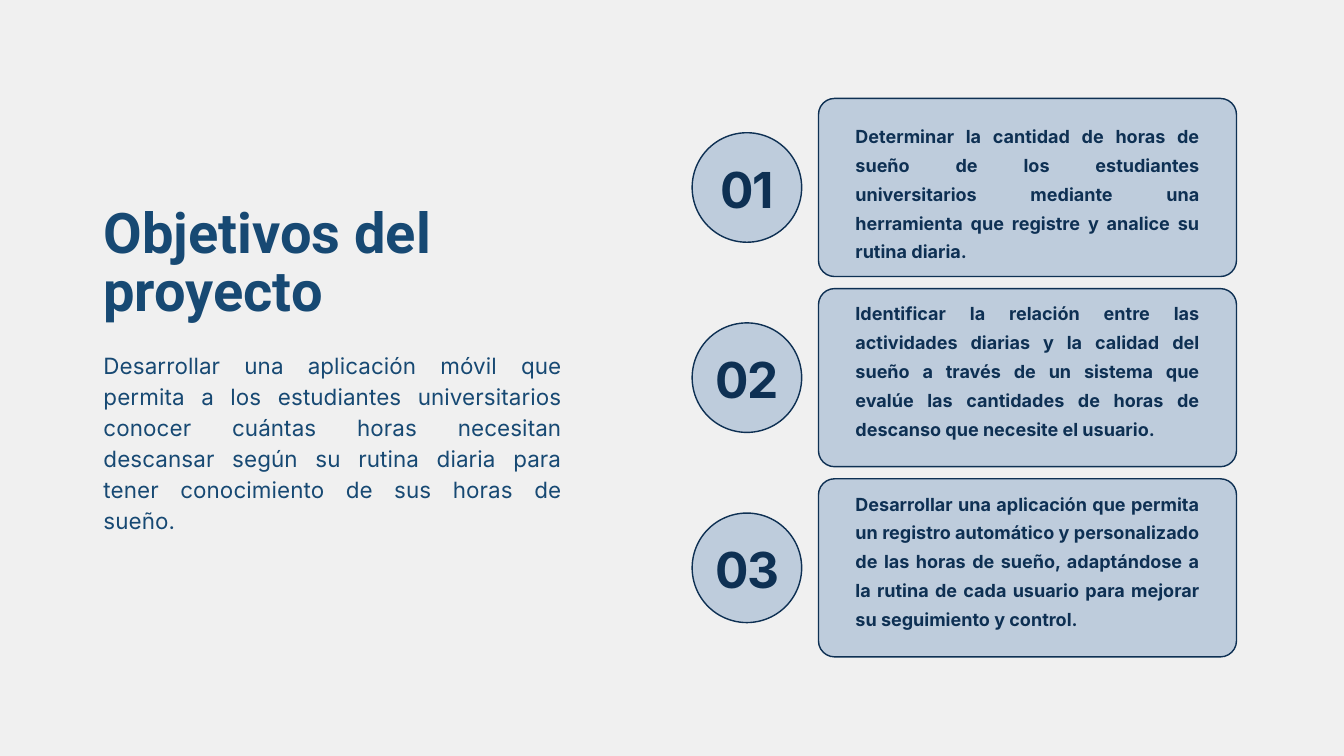
from dataclasses import dataclass

from pptx import Presentation
from pptx import util as u
from pptx.dml.color import RGBColor
from pptx.enum import shapes, text

COLORS = {
    "background": "F0F0F0",
    "heading": "174973",
    "panel": "BECCDC",
    "ink": "0E3053",
}
MIDDLE_ROW = 5.62
ROW_PITCH = 2.83
CARD_LEFT, CARD_WIDTH, CARD_HEIGHT = 12.18, 6.22, 2.65
CIRCLE_LEFT, CIRCLE_SIZE = 10.3, 1.63


@dataclass(frozen=True)
class Objective:
    number: str
    statement: str
    text_rise: float
    text_height: float


OBJECTIVES = [
    Objective(
        "01",
        "Determinar la cantidad de horas de sueño de los estudiantes universitarios "
        "mediante una herramienta que registre y analice su rutina diaria.",
        1.03, 2.11,
    ),
    Objective(
        "02",
        "Identificar la relación entre las actividades diarias y la calidad del sueño "
        "a través de un sistema que evalúe las cantidades de horas de descanso que "
        "necesite el usuario.",
        1.22, 2.54,
    ),
    Objective(
        "03",
        "Desarrollar una aplicación que permita un registro automático y personalizado "
        "de las horas de sueño, adaptándose a la rutina de cada usuario para mejorar "
        "su seguimiento y control.",
        1.22, 2.54,
    ),
]


def rgb(name: str) -> RGBColor:
    return RGBColor.from_string(COLORS[name])


def add_text(slide, content: str, left: float, top: float, width: float, height: float, *,
             size: float, leading: float, color: str = "ink", font: str = "Inter",
             bold: bool = False, align=text.PP_ALIGN.LEFT, tracking: int = 0) -> None:
    box = slide.shapes.add_textbox(*map(u.Inches, (left, top, width, height)))
    frame = box.text_frame
    frame.word_wrap = True
    frame.margin_left = frame.margin_right = frame.margin_top = frame.margin_bottom = 0
    paragraph = frame.paragraphs[0]
    paragraph.alignment = align
    paragraph.line_spacing = u.Pt(leading)
    run = paragraph.add_run()
    run.text = content
    run.font.name = font
    run.font.size = u.Pt(size)
    run.font.bold = bold
    run.font.color.rgb = rgb(color)
    if tracking:
        run.font._element.set("spc", str(tracking))


def add_panel(slide, kind, left: float, top: float, width: float, height: float):
    panel = slide.shapes.add_shape(kind, *map(u.Inches, (left, top, width, height)))
    panel.shadow.inherit = False
    panel.fill.solid()
    panel.fill.fore_color.rgb = rgb("panel")
    panel.line.color.rgb = rgb("ink")
    panel.line.width = u.Pt(1.5)
    return panel


def add_objective(slide, objective: Objective, middle: float) -> None:
    card = add_panel(slide, shapes.MSO_SHAPE.ROUNDED_RECTANGLE,
                     CARD_LEFT, middle - CARD_HEIGHT / 2, CARD_WIDTH, CARD_HEIGHT)
    card.adjustments[0] = 0.09
    add_panel(slide, shapes.MSO_SHAPE.OVAL,
              CIRCLE_LEFT, middle - CIRCLE_SIZE / 2, CIRCLE_SIZE, CIRCLE_SIZE)
    add_text(slide, objective.statement, 12.73, middle - objective.text_rise,
             5.12, objective.text_height, size=19.3, leading=30.9, bold=True,
             align=text.PP_ALIGN.JUSTIFY)
    add_text(slide, objective.number, 10.35, middle - 0.43, 1.54, 0.88,
             size=53.1, leading=63.7, bold=True, align=text.PP_ALIGN.CENTER, tracking=-190)


def main() -> None:
    deck = Presentation()
    deck.slide_width, deck.slide_height = u.Inches(20), u.Inches(11.25)
    slide = deck.slides.add_slide(deck.slide_layouts[6])
    slide.background.fill.solid()
    slide.background.fill.fore_color.rgb = rgb("background")

    add_text(slide, "Objetivos del proyecto", 1.54, 3.07, 6.82, 1.78,
             size=60, leading=62.4, color="heading", font="Roboto", bold=True)
    add_text(slide,
             "Desarrollar una aplicación móvil que permita a los estudiantes universitarios "
             "conocer cuántas horas necesitan descansar según su rutina diaria para tener "
             "conocimiento de sus horas de sueño.",
             1.54, 5.17, 6.82, 3.2, size=24, leading=33.4, color="heading",
             align=text.PP_ALIGN.JUSTIFY, tracking=10)

    for row, objective in enumerate(OBJECTIVES, start=-1):
        add_objective(slide, objective, MIDDLE_ROW + row * ROW_PITCH)

    deck.save("out.pptx")


if __name__ == "__main__":
    main()
